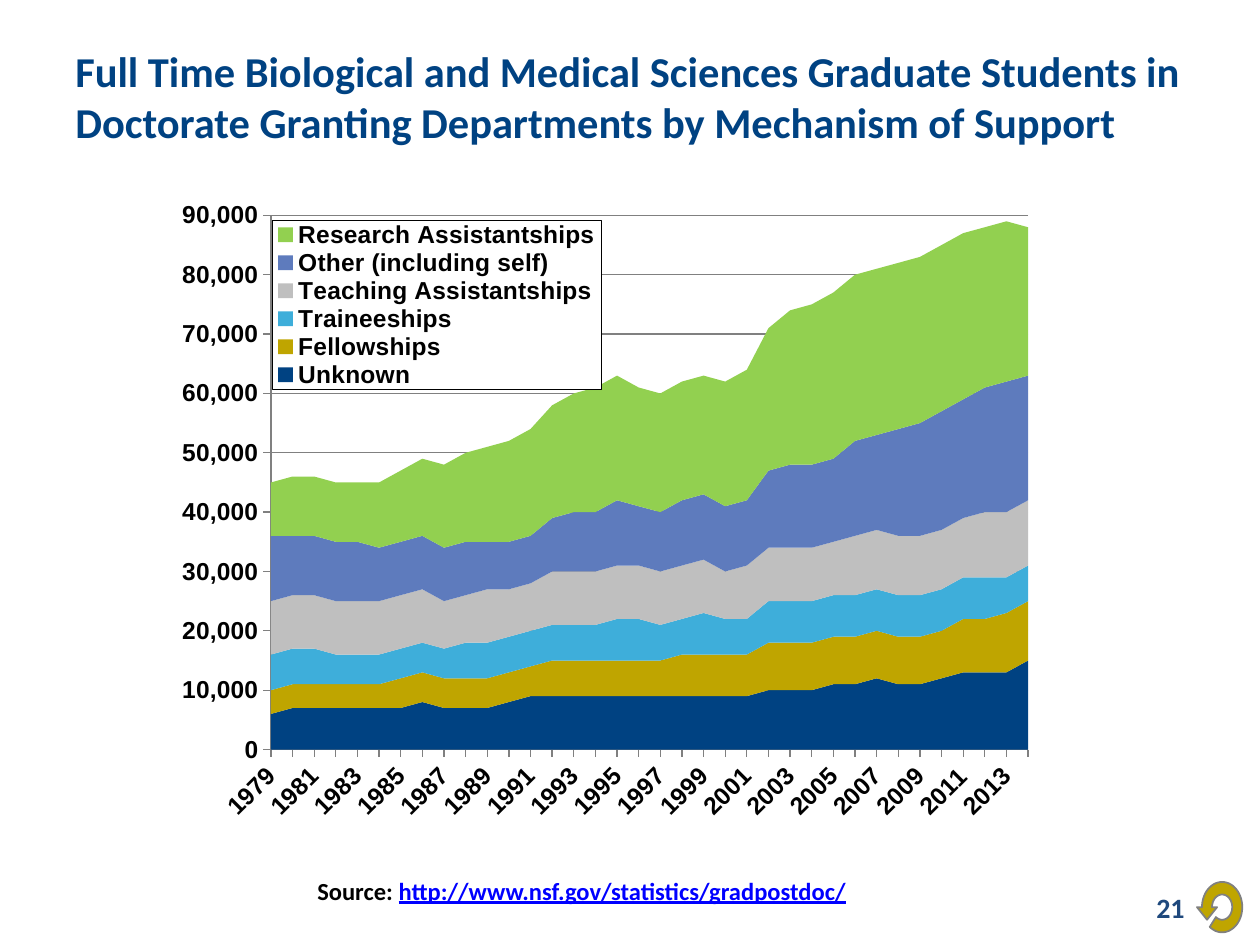
import math

import lxml.etree
import pptx
import pptx.chart.data
import pptx.dml.color
import pptx.enum.chart
import pptx.enum.text
import pptx.oxml
import pptx.oxml.ns
import pptx.util

Inches = pptx.util.Inches
qn = pptx.oxml.ns.qn


class Theme:
    heading_font = "Calibri"
    chart_font = "Arial"
    navy = "004282"
    number = "1F497D"
    link = "0000FF"
    black = "000000"
    white = "FFFFFF"
    gold = "BFA500"
    gray = "808080"
    title_size = 24.3
    number_size = 16
    body_size = 14


SUPPORT = [
    ("Unknown", Theme.navy,
     [6, 7, 7, 7, 7, 7, 7, 8, 7, 7, 7, 8, 9, 9, 9, 9, 9, 9, 9, 9, 9, 9, 9, 10,
      10, 10, 11, 11, 12, 11, 11, 12, 13, 13, 13, 15]),
    ("Fellowships", Theme.gold,
     [4, 4, 4, 4, 4, 4, 5, 5, 5, 5, 5, 5, 5, 6, 6, 6, 6, 6, 6, 7, 7, 7, 7, 8,
      8, 8, 8, 8, 8, 8, 8, 8, 9, 9, 10, 10]),
    ("Traineeships", "3EAEDA",
     [6, 6, 6, 5, 5, 5, 5, 5, 5, 6, 6, 6, 6, 6, 6, 6, 7, 7, 6, 6, 7, 6, 6, 7,
      7, 7, 7, 7, 7, 7, 7, 7, 7, 7, 6, 6]),
    ("Teaching Assistantships", "BFBFBF",
     [9, 9, 9, 9, 9, 9, 9, 9, 8, 8, 9, 8, 8, 9, 9, 9, 9, 9, 9, 9, 9, 8, 9, 9,
      9, 9, 9, 10, 10, 10, 10, 10, 10, 11, 11, 11]),
    ("Other (including self)", "5E7BBD",
     [11, 10, 10, 10, 10, 9, 9, 9, 9, 9, 8, 8, 8, 9, 10, 10, 11, 10, 10, 11,
      11, 11, 11, 13, 14, 14, 14, 16, 16, 18, 19, 20, 20, 21, 22, 21]),
    ("Research Assistantships", "92D050",
     [9, 10, 10, 10, 10, 11, 12, 13, 14, 15, 16, 17, 18, 19, 20, 21, 21, 20,
      20, 20, 20, 21, 22, 24, 26, 27, 28, 28, 28, 28, 28, 28, 28, 27, 27, 25]),
]


def color(value):
    return pptx.dml.color.RGBColor.from_string(value)


def style(font, size, name, fill, underline=None):
    font.size = pptx.util.Pt(size)
    font.name = name
    font.bold = True
    font.underline = underline
    font.color.rgb = color(fill)


def add_text(page, box, *pieces, size, align="LEFT", anchor="TOP", bottom=0.05):
    shape = page.shapes.add_textbox(*map(Inches, box))
    frame = shape.text_frame
    frame.word_wrap = True
    frame.margin_bottom = Inches(bottom)
    frame.vertical_anchor = getattr(pptx.enum.text.MSO_ANCHOR, anchor)
    para = frame.paragraphs[0]
    para.alignment = getattr(pptx.enum.text.PP_ALIGN, align)
    for text, fill, underline in pieces:
        span = para.add_run()
        span.text = text
        style(span.font, size, Theme.heading_font, fill, underline)


def add_layout(parent, box, part, inner=False):
    for old in parent.findall(qn("c:layout")):
        parent.remove(old)
    layout = pptx.oxml.parse_xml(
        '<c:layout xmlns:c="http://schemas.openxmlformats.org/drawingml/2006/chart"/>')
    manual = lxml.etree.SubElement(layout, qn("c:manualLayout"))
    width, height = box[2:]
    fractions = [length / whole for length, whole in zip(part, (width, height) * 2)]
    settings = [("layoutTarget", "inner")] if inner else []
    settings += [("xMode", "edge"), ("yMode", "edge")]
    settings += zip("xywh", fractions)
    for tag, value in settings:
        lxml.etree.SubElement(manual, qn("c:" + tag)).set("val", str(value))
    parent.insert(0 if inner else 1, layout)


def add_support_chart(page, box):
    data = pptx.chart.data.CategoryChartData(number_format="#,##0")
    data.categories = [str(year) for year in range(1979, 2015)]
    for name, fill, thousands in SUPPORT:
        data.add_series(name, [value * 1000 for value in thousands])
    chart = page.shapes.add_chart(
        pptx.enum.chart.XL_CHART_TYPE.AREA_STACKED, *map(Inches, box), data).chart
    style(chart.font, Theme.body_size, Theme.chart_font, Theme.black)
    chart.has_title = False
    for series, (name, fill, thousands) in zip(chart.plots[0].series, SUPPORT):
        series.format.fill.solid()
        series.format.fill.fore_color.rgb = color(fill)

    years, students = chart.category_axis, chart.value_axis
    students.minimum_scale, students.maximum_scale = 0, 90000
    students.major_unit = 10000
    students.has_major_gridlines = True
    students.tick_labels.number_format = "#,##0"
    students.tick_labels.number_format_is_linked = False
    years.has_major_gridlines = False
    for axis in (years, students):
        axis.major_tick_mark = pptx.enum.chart.XL_TICK_MARK.OUTSIDE
        axis.minor_tick_mark = pptx.enum.chart.XL_TICK_MARK.NONE
        style(axis.tick_labels.font, Theme.body_size, Theme.chart_font, Theme.black)
    for item in (years, students, students.major_gridlines):
        item.format.line.color.rgb = color(Theme.gray)
        item.format.line.width = pptx.util.Pt(0.75)

    area = chart.plots[0]._element.getparent()
    area.find(".//" + qn("c:crossBetween")).set("val", "midCat")
    category = years._element
    category.find(qn("c:txPr")).find(qn("a:bodyPr")).set("rot", "-2700000")
    skip = lxml.etree.Element(qn("c:tickLblSkip"))
    skip.set("val", "2")
    category.find(qn("c:noMultiLvlLbl")).addprevious(skip)
    add_layout(area, box, (0.9, 0.21, 6.01, 4.24), inner=True)

    chart.has_legend = True
    legend = chart.legend
    legend.position = pptx.enum.chart.XL_LEGEND_POSITION.RIGHT
    legend.include_in_layout = False
    style(legend.font, Theme.body_size, Theme.chart_font, Theme.black)
    add_layout(legend._element, box, (0.91, 0.25, 2.61, 1.34))
    frame = pptx.oxml.parse_xml(
        '<c:spPr xmlns:c="http://schemas.openxmlformats.org/drawingml/2006/chart" '
        'xmlns:a="http://schemas.openxmlformats.org/drawingml/2006/main">'
        f'<a:solidFill><a:srgbClr val="{Theme.white}"/></a:solidFill>'
        f'<a:ln w="3175"><a:solidFill><a:srgbClr val="{Theme.black}"/>'
        '</a:solidFill></a:ln></c:spPr>')
    legend._element.find(qn("c:txPr")).addprevious(frame)


def add_return_arrow(page, box):
    left, top, width, height = map(Inches, box)
    radius_y = height / 2
    radius_x = width * 4 / 9
    center_x, center_y = left + width - radius_x, top + radius_y

    def arc(scale, start, end, steps=48):
        angles = [math.radians(start + (end - start) * step / steps)
                  for step in range(steps + 1)]
        return [(center_x + scale * radius_x * math.cos(angle),
                 center_y + scale * radius_y * math.sin(angle)) for angle in angles]

    head = [(left, center_y), (left + width * 2 / 9, center_y + radius_y / 2),
            (left + width * 4 / 9, center_y)]
    points = arc(0.5, 180, 488) + arc(1, 488, 180) + head
    builder = page.shapes.build_freeform(*points[0])
    builder.add_line_segments(points[1:], close=True)
    arrow = builder.convert_to_shape()
    arrow.shadow.inherit = False
    arrow.fill.solid()
    arrow.fill.fore_color.rgb = color(Theme.gold)
    arrow.line.color.rgb = color(Theme.gray)
    arrow.line.width = pptx.util.Pt(1)


def add_footer(page, box):
    left, top, width, height = box
    add_text(page, (left, top, width, 0.34),
             ("Source: ", Theme.black, None),
             ("http://www.nsf.gov/statistics/gradpostdoc/", Theme.link, True),
             size=Theme.body_size)
    add_text(page, (left + 4.75, top + 0.1, 2.33, 0.4), ("21", Theme.number, None),
             size=Theme.number_size, align="RIGHT", anchor="MIDDLE")
    add_return_arrow(page, (left + width - 0.36, top + 0.1, 0.36, 0.4))


def main():
    deck = pptx.Presentation()
    deck.slide_width, deck.slide_height = Inches(10), Inches(7.5)
    page = deck.slides.add_slide(deck.slide_layouts[6])
    add_text(page, (0.5, 0.5, 9, 0.95),
             ("Full Time Biological and Medical Sciences Graduate Students in "
              "Doctorate Granting Departments by Mechanism of Support", Theme.navy, None),
             size=Theme.title_size, anchor="MIDDLE", bottom=0.48)
    add_footer(page, (2.42, 6.9, 7.44, 0.5))
    add_support_chart(page, (1.25, 1.5, 8.75, 5.12))
    deck.save("out.pptx")


main()
